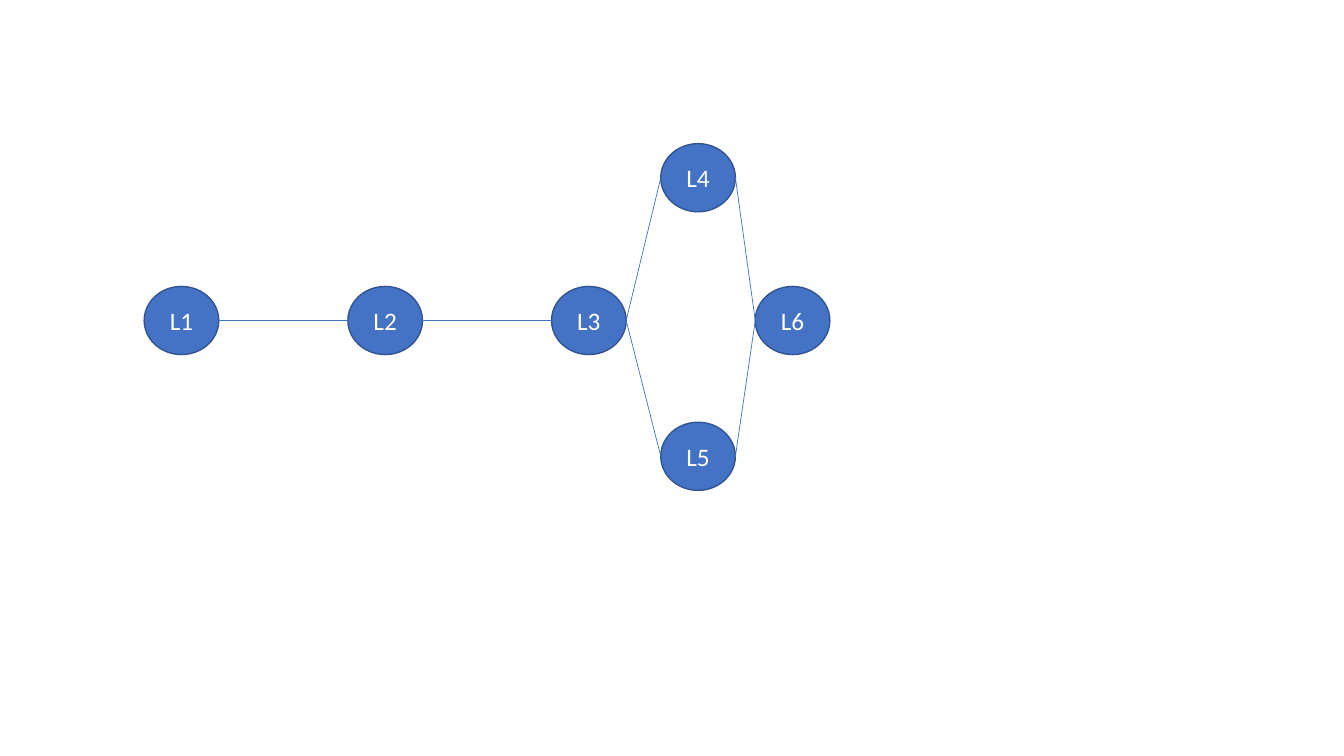
from pptx import Presentation
from pptx.dml.color import RGBColor
from pptx.enum.shapes import MSO_CONNECTOR, MSO_SHAPE
from pptx.enum.text import MSO_ANCHOR, PP_ALIGN
from pptx.oxml.ns import qn
from pptx.util import Pt
from lxml import etree

OVAL = MSO_SHAPE.OVAL
LINE = MSO_CONNECTOR.STRAIGHT
MIDDLE = MSO_ANCHOR.MIDDLE
CENTER = PP_ALIGN.CENTER

BLUE, NAVY, WHITE = "4472C4", "325491", "FFFFFF"
NODE_W, NODE_H = 53.3, 48.7
STEP = 145.5
ROW, FORK, LOW = 102, 369, 199

# Node offsets inside the graph box
NODES = {f"L{n}": (i * STEP, ROW) for i, n in enumerate((1, 2, 3, 6))}
NODES |= {"L4": (FORK, 0), "L5": (FORK, LOW)}
EDGES = [("L1", "L2"), ("L2", "L3"), ("L3", "L4"),
         ("L3", "L5"), ("L4", "L6"), ("L5", "L6")]


def color(code):
    return RGBColor.from_string(code)


def add_node(slide, label, left, top):
    node = slide.shapes.add_shape(OVAL, Pt(left), Pt(top), Pt(NODE_W), Pt(NODE_H))
    node.shadow.inherit = False
    node.fill.solid()
    node.fill.fore_color.rgb = color(BLUE)
    node.line.color.rgb = color(NAVY)
    node.line.width = Pt(1)
    frame = node.text_frame
    frame.vertical_anchor = MIDDLE
    para = frame.paragraphs[0]
    para.alignment = CENTER
    run = para.add_run()
    run.text = label
    run.font.name = "Calibri"
    run.font.size = Pt(18)
    run.font.color.rgb = color(WHITE)


def add_edge(slide, start, end):
    """Join the right side of the start node to the left side of the end node."""
    (x1, y1), (x2, y2) = start, end
    half = NODE_H / 2
    edge = slide.shapes.add_connector(
        LINE, Pt(x1 + NODE_W), Pt(y1 + half), Pt(x2), Pt(y2 + half))
    edge.line.color.rgb = color(BLUE)
    edge.line.width = Pt(0.5)
    etree.SubElement(edge._element.spPr, qn("a:effectLst"))


def add_graph(slide, left, top):
    spots = {label: (left + x, top + y) for label, (x, y) in NODES.items()}
    for label, spot in spots.items():
        add_node(slide, label, *spot)
    for start, end in EDGES:
        add_edge(slide, spots[start], spots[end])


def main():
    deck = Presentation()
    deck.slide_width, deck.slide_height = Pt(960), Pt(540)
    slide = deck.slides.add_slide(deck.slide_layouts[6])
    add_graph(slide, 103, 102.6)
    deck.save("out.pptx")


if __name__ == "__main__":
    main()
